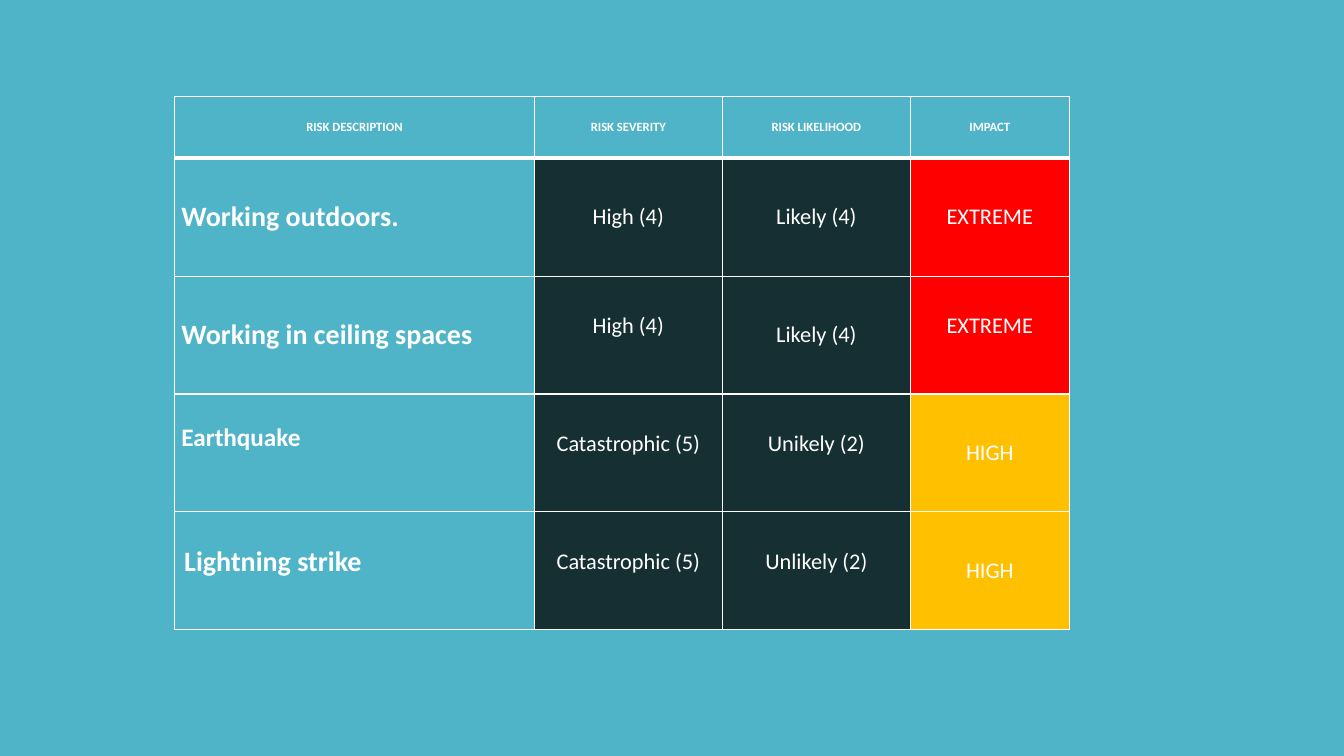
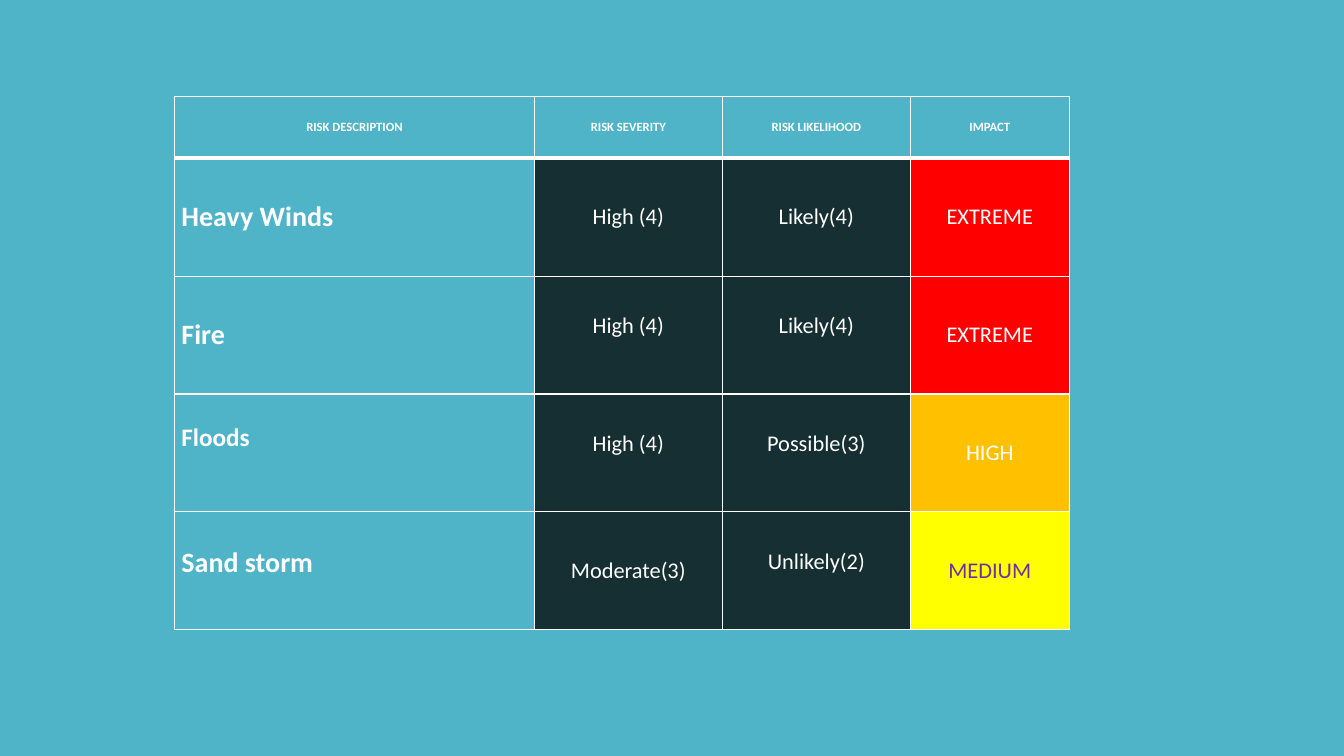
from lxml.etree import SubElement
from pptx import Presentation
from pptx.dml.color import RGBColor
from pptx.enum.text import MSO_ANCHOR, PP_ALIGN
from pptx.oxml.ns import qn
from pptx.util import Pt

# Shared look
FONT = "Calibri"
TEAL, DARK, WHITE = "50B4C8", "162F33", "FFFFFF"
IMPACT_COLORS = {  # fill, text
    "EXTREME": ("FF0000", WHITE),
    "HIGH": ("FFC000", WHITE),
    "MEDIUM": ("FFFF00", "7030A0"),
}
HEADERS = ["RISK DESCRIPTION", "RISK SEVERITY", "RISK LIKELIHOOD", "IMPACT"]
TABLE_LEFT, TABLE_TOP = 124.6, 69.2
COLUMN_WIDTHS = [257.1, 134.3, 134.3, 113.6]
HEADER_HEIGHT, ROW_HEIGHT = 43.9, 84.2
SIDE_MARGIN = 5
RAISED = 13  # bottom margin that lifts a cell's text

# Each row: four texts, then the bottom margin of each cell
SITE_RISKS = [
    (["Working outdoors.", "High (4)", "Likely (4)", "EXTREME"], [0, 0, 0, 0]),
    (["Working in ceiling spaces", "High (4)", "Likely (4)", "EXTREME"],
     [0, RAISED, 0, RAISED]),
    (["Earthquake", "Catastrophic (5)", "Unikely (2)", "HIGH"],
     [22, RAISED, RAISED, 0]),
    (["Lightning strike", "Catastrophic (5)", "Unlikely (2)", "HIGH"],
     [RAISED, RAISED, RAISED, 0]),
]
WEATHER_RISKS = [
    (["Heavy Winds", "High (4)", "Likely(4)", "EXTREME"], [0, 0, 0, 0]),
    (["Fire", "High (4)", "Likely(4)", "EXTREME"], [0, RAISED, RAISED, 0]),
    (["Floods", "High (4)", "Possible(3)", "HIGH"], [22, RAISED, RAISED, 0]),
    (["Sand storm", "Moderate(3)", "Unlikely(2)", "MEDIUM"], [11, 0, RAISED, 0]),
]
SMALLER_ROW = 3  # its description is set at 18 points
INDENTED = {"Lightning strike": 2}


def color(value):
    return RGBColor.from_string(value)


def set_borders(cell, top=1, bottom=1):
    properties = cell._tc.get_or_add_tcPr()
    for tag, width in (("lnL", 1), ("lnR", 1), ("lnT", top), ("lnB", bottom)):
        line = SubElement(properties, qn(f"a:{tag}"), w=str(Pt(width)))
        solid = SubElement(line, qn("a:solidFill"))
        SubElement(solid, qn("a:srgbClr"), val=WHITE)


def fill_cell(cell, text, size, fill, text_color=WHITE, bold=False,
              align=PP_ALIGN.CENTER, raised=0):
    cell.fill.solid()
    cell.fill.fore_color.rgb = color(fill)
    cell.vertical_anchor = MSO_ANCHOR.MIDDLE
    cell.margin_left = Pt(SIDE_MARGIN + INDENTED.get(text, 0))
    cell.margin_right = Pt(SIDE_MARGIN)
    cell.margin_top, cell.margin_bottom = Pt(0), Pt(raised)
    cell.text = text
    paragraph = cell.text_frame.paragraphs[0]
    paragraph.alignment = align
    font = paragraph.font
    font.name, font.size, font.bold = FONT, Pt(size), bold
    font.color.rgb = color(text_color)


def add_risk_table(slide, left, top, risks):
    height = HEADER_HEIGHT + ROW_HEIGHT * len(risks)
    table = slide.shapes.add_table(
        len(risks) + 1, len(HEADERS), Pt(left), Pt(top),
        Pt(sum(COLUMN_WIDTHS)), Pt(height)).table
    table.horz_banding = False
    for column, width in zip(table.columns, COLUMN_WIDTHS):
        column.width = Pt(width)
    for index, row in enumerate(table.rows):
        row.height = Pt(ROW_HEIGHT if index else HEADER_HEIGHT)

    # Header row with a heavy rule below
    for column, header in enumerate(HEADERS):
        cell = table.cell(0, column)
        set_borders(cell, bottom=3)
        fill_cell(cell, header, 9, TEAL, bold=True)

    # One row per risk: description, two ratings, coloured impact
    for row, (texts, margins) in enumerate(risks, 1):
        for column, (text, raised) in enumerate(zip(texts, margins)):
            cell = table.cell(row, column)
            set_borders(cell, top=3 if row == 1 else 1)
            if column == 0:
                size = 18 if row == SMALLER_ROW else 20
                fill_cell(cell, text, size, TEAL, bold=True,
                          align=PP_ALIGN.LEFT, raised=raised)
            else:
                fill, text_color = IMPACT_COLORS.get(text, (DARK, WHITE))
                fill_cell(cell, text, 16, fill, text_color, raised=raised)


def add_risk_slide(presentation, risks):
    slide = presentation.slides.add_slide(presentation.slide_layouts[6])
    add_risk_table(slide, TABLE_LEFT, TABLE_TOP, risks)


def main():
    presentation = Presentation()
    presentation.slide_width, presentation.slide_height = Pt(960), Pt(540)
    background = presentation.slide_master.background.fill
    background.solid()
    background.fore_color.rgb = color(TEAL)
    for risks in (SITE_RISKS, WEATHER_RISKS):
        add_risk_slide(presentation, risks)
    presentation.save("out.pptx")


if __name__ == "__main__":
    main()
